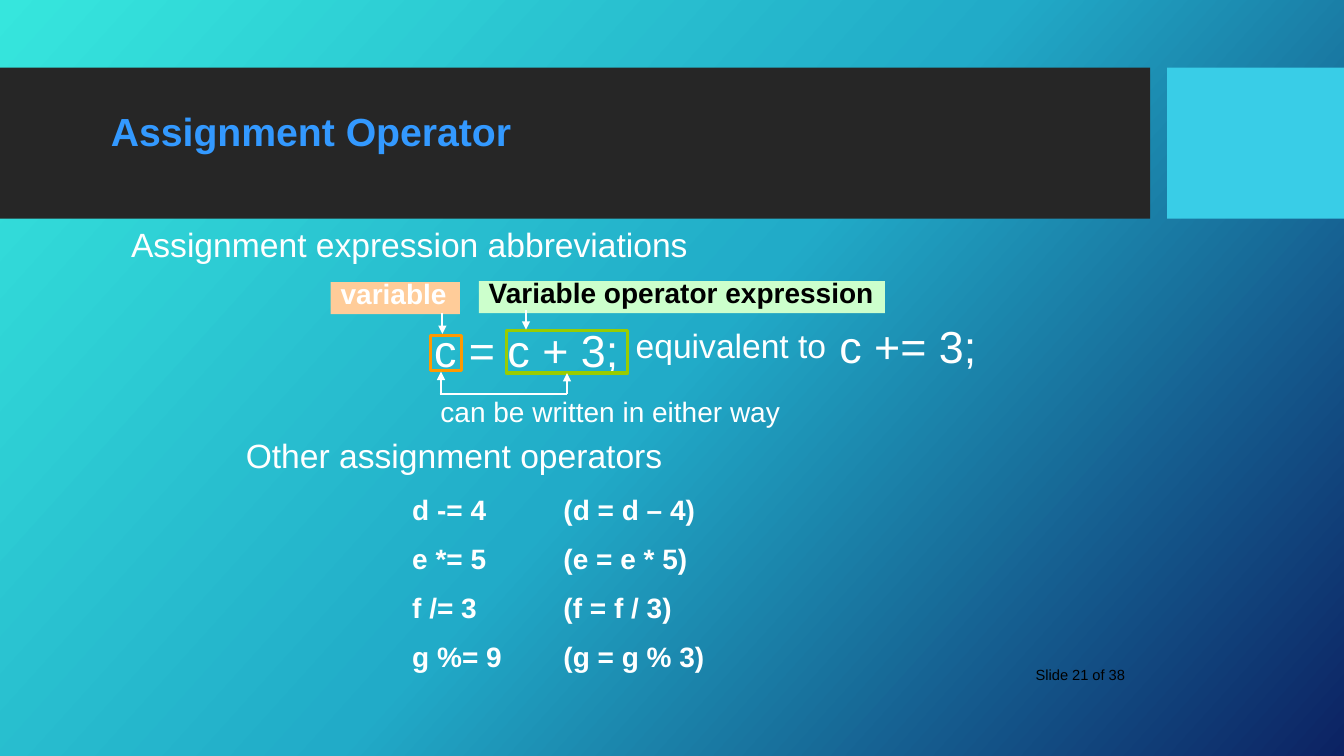
import copy
import pptx
import pptx.dml.color
import pptx.enum.shapes
import pptx.enum.text
import pptx.oxml.ns
import pptx.util
from lxml import etree

Pt = pptx.util.Pt
RGB = pptx.dml.color.RGBColor.from_string
qn = pptx.oxml.ns.qn
RECT = pptx.enum.shapes.MSO_SHAPE.RECTANGLE
ALIGN = pptx.enum.text.PP_ALIGN
ANCHOR = pptx.enum.text.MSO_ANCHOR

THEME = {
    "font": "Arial",
    "gradient": [(0, "36E6DD"), (0.5, "21ABC8"), (1, "0C2263")],
    "band": "262626", "accent": "39CDE7", "title": "3399FF",
    "light": "FFFFFF", "dark": "000000",
    "peach": "FFCC99", "mint": "CCFFCC", "orange": "FF9900", "green": "99CC00",
    "title_size": 28, "code_size": 32, "text_size": 24, "label_size": 20, "footer_size": 10.5,
}


def write(sp, lines, size, color="light", bold=False, spacing=1.0, align=ALIGN.LEFT, anchor=ANCHOR.TOP):
    tf = sp.text_frame
    tf.word_wrap = True
    tf.auto_size = pptx.enum.text.MSO_AUTO_SIZE.NONE
    tf.vertical_anchor = anchor
    tf.text = "\n".join(lines)
    for i, p in enumerate(tf.paragraphs):
        p.alignment = align
        p.line_spacing = spacing
        p.space_before = Pt(11 if i else 0)
        p.font.name = THEME["font"]
        p.font.size = Pt(THEME[size])
        p.font.bold = bold
        p.font.color.rgb = RGB(THEME[color])


def rect(at, fill=None, line=None):
    sp = s.shapes.add_shape(RECT, *map(Pt, at))
    sp.shadow.inherit = False
    if fill:
        sp.fill.solid()
        sp.fill.fore_color.rgb = RGB(THEME[fill])
    else:
        sp.fill.background()
    if line:
        sp.line.color.rgb = RGB(THEME[line])
        sp.line.width = Pt(2.25)
    else:
        sp.line.fill.background()
    return sp


prs = pptx.Presentation()
prs.slide_width, prs.slide_height = Pt(960), Pt(540)
s = prs.slides.add_slide(prs.slide_layouts[1])

bg = s.background.fill
bg.gradient()
bg.gradient_angle = 318
stops = s.element.find(".//" + qn("a:gsLst"))
stops.append(copy.deepcopy(stops[0]))
for stop, (position, color) in zip(bg.gradient_stops, THEME["gradient"]):
    stop.position = position
    stop.color.rgb = RGB(color)

bands = [((0, 48.25, 821.5, 108), "band"), ((833.75, 48.25, 126.25, 108), "accent")]
for i, (at, fill) in enumerate(bands):
    s.shapes.element.insert(2 + i, rect(at, fill).element)

title = s.shapes.title
title.left, title.top, title.width, title.height = map(Pt, (72, 72.75, 608, 41))
write(title, ["Assignment Operator"], "title_size", "title", True)

operators = s.placeholders[1]
operators.left, operators.top, operators.width, operators.height = map(Pt, (287.25, 348.5, 312.5, 167))
pairs = [("d -= 4", "(d = d – 4)"), ("e *= 5", "(e = e * 5)"),
         ("f /= 3", "(f = f / 3)"), ("g %= 9", "(g = g % 3)")]
write(operators, ["\t\t".join(pair) for pair in pairs], "label_size", bold=True)
for p in operators.text_frame.paragraphs:
    pPr = p._p.get_or_add_pPr()
    pPr.set("marL", "0")
    pPr.set("indent", "0")
    bullet = etree.Element(qn("a:buNone"))
    tabs = etree.Element(qn("a:tabLst"))
    for stop in (72, 108):
        etree.SubElement(tabs, qn("a:tab"), pos=str(int(Pt(stop))), algn="l")
    at = pPr.index(pPr.find(qn("a:defRPr")))
    pPr.insert(at, bullet)
    pPr.insert(at + 1, tabs)

texts = [
    ((86.5, 162.75, 638, 29), "Assignment expression abbreviations", "text_size", 0.75),
    ((303, 226.75, 205, 45.5), "c = c + 3;", "code_size", 1.0),
    ((592.5, 224, 121, 45.5), "c += 3;", "code_size", 1.0),
    ((447, 235.5, 157.75, 29), "equivalent to", "text_size", 0.75),
    ((307.5, 283.75, 275, 25), "can be written in either way", "label_size", 0.75),
    ((168.5, 314, 638, 29), "Other assignment operators", "text_size", 0.75),
]
for at, text, size, spacing in texts:
    write(s.shapes.add_textbox(*map(Pt, at)), [text], size, spacing=spacing)

labels = [
    ((236.25, 201.5, 92.25, 23), "variable", "peach", "light"),
    ((342, 200.75, 290, 23), "Variable operator expression", "mint", "dark"),
]
for at, text, fill, color in labels:
    write(rect(at, fill), [text], "label_size", color, True, 0.65)

rect((307.5, 239.5, 22.5, 25), line="orange")
expression = rect((361.5, 236, 87, 30.5), line="green")

lines = [
    ((316, 223.25), (316, 238.5), True, None),
    ((375.75, 221.75), (375.75, 235.5), True, None),
    ((315, 281.5), (315, 265.5), True, None),
    ((405, 281.5), (405, 266.5), True, expression),
    ((314, 281.5), (405, 281.5), False, None),
]
for start, end, arrow, target in lines:
    cn = s.shapes.add_connector(pptx.enum.shapes.MSO_CONNECTOR.STRAIGHT, *map(Pt, start + end))
    cn.line.color.rgb = RGB(THEME["light"])
    cn.line.width = Pt(1.5)
    if target:
        cn.end_connect(target, 2)
    if arrow:
        etree.SubElement(cn.line._get_or_add_ln(), qn("a:tailEnd"), type="triangle")
    etree.SubElement(cn.element.spPr, qn("a:effectLst"))

footer = s.shapes.add_textbox(*map(Pt, (594.75, 467.25, 216, 28.75)))
write(footer, ["Slide 21 of 38"], "footer_size", "dark", align=ALIGN.RIGHT, anchor=ANCHOR.MIDDLE)

prs.save("out.pptx")
